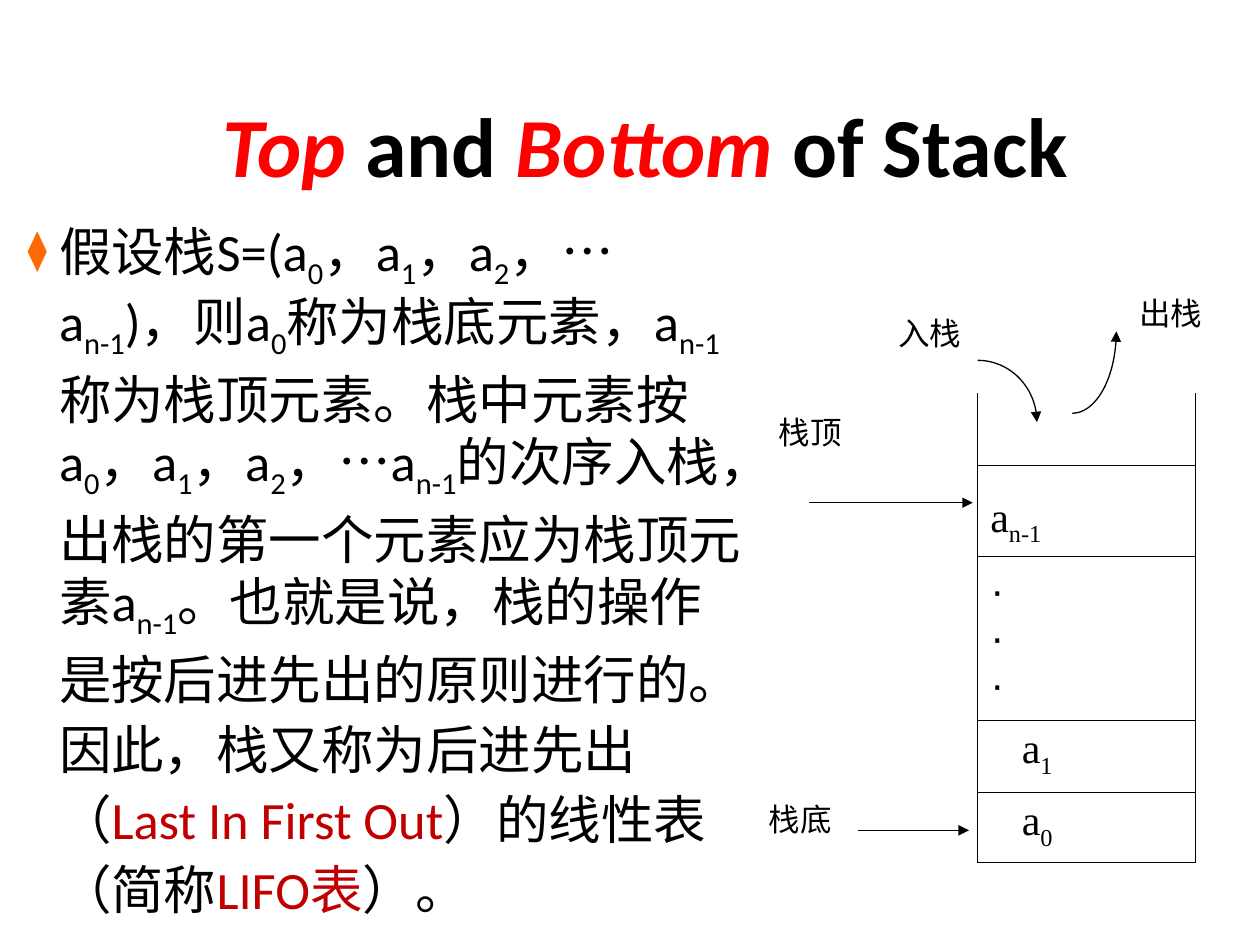
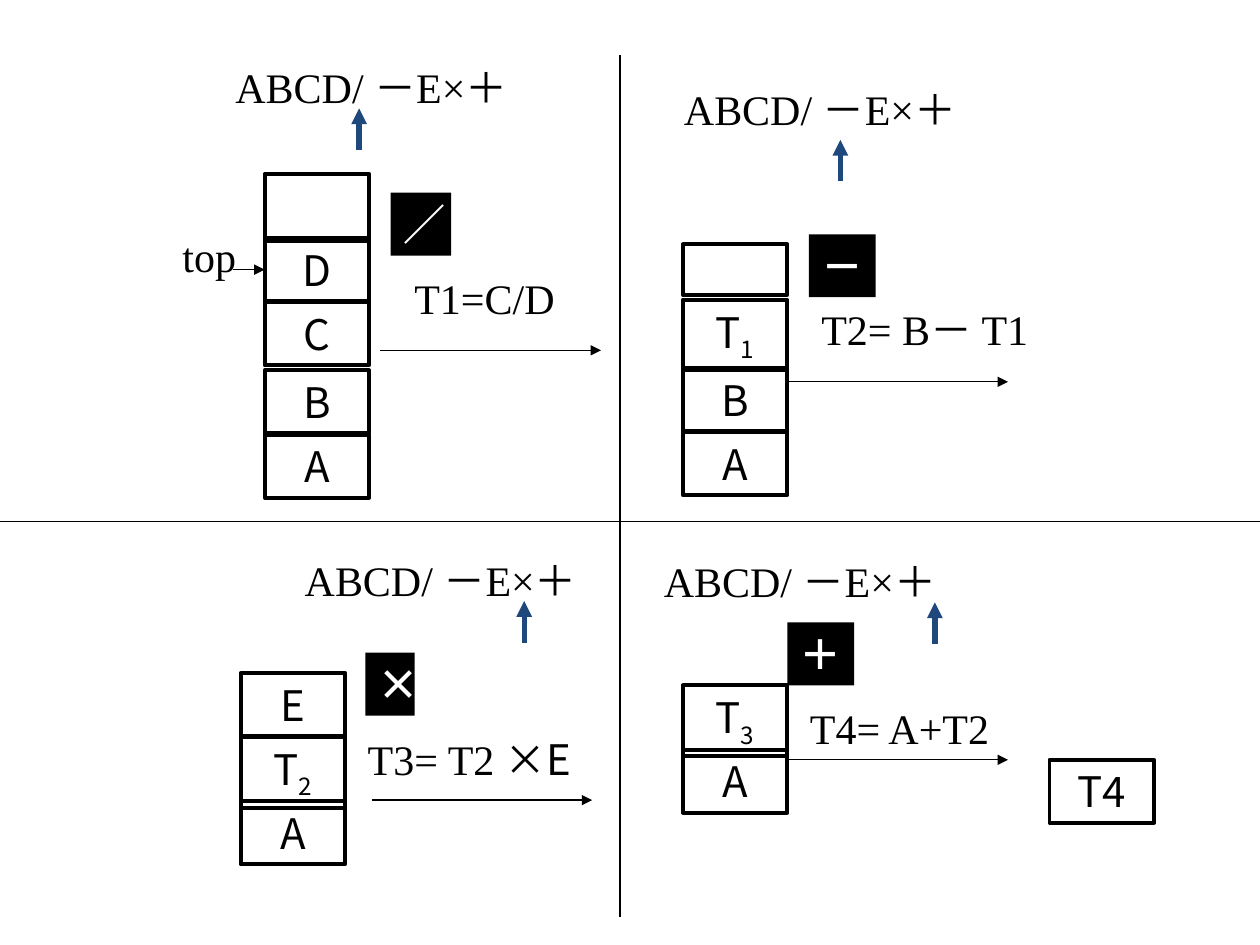
import math
import pptx
import pptx.util
import pptx.dml.color
import pptx.enum.shapes
import pptx.enum.text
import pptx.oxml.ns
from lxml import etree

INCH = pptx.util.Inches
POINT = pptx.util.Pt
BLACK, WHITE, RED, CRIMSON = "000000", "FFFFFF", "FF0000", "C00000"
ORANGE, NAVY = "FF6903", "1F497D"
CALIBRI, ARIAL, TIMES, CJK = "Calibri", "Arial", "Times New Roman", "Noto Sans CJK JP"
LEFT, CENTER = pptx.enum.text.PP_ALIGN.LEFT, pptx.enum.text.PP_ALIGN.CENTER
TOP, MIDDLE = pptx.enum.text.MSO_ANCHOR.TOP, pptx.enum.text.MSO_ANCHOR.MIDDLE
RECTANGLE = pptx.enum.shapes.MSO_SHAPE.RECTANGLE
INSETS, NO_INSETS = (0.1, 0.05, 0.1, 0.05), (0, 0, 0, 0)

# "~" in a text switches subscript on and off
HEADING = [
    ("Top", {"color": RED, "italic": True}),
    (" and ", {}),
    ("Bottom", {"color": RED, "italic": True}),
    (" of Stack", {}),
]
DEFINITION = [
    ("假设栈S=(a~0~，a~1~，a~2~，…a~n-1~)，则a~0~称为栈底元素，a~n-1~称为栈顶元素。"
     "栈中元素按a~0~，a~1~，a~2~，…a~n-1~的次序入栈，出栈的第一个元素应为栈顶元素a~n-1~。"
     "也就是说，栈的操作是按后进先出的原则进行的。因此，栈又称为后进先出（", {}),
    ("Last In First Out", {"color": CRIMSON}),
    ("）的线性表（简称", {}),
    ("LIFO表", {"color": CRIMSON}),
    ("）。", {}),
]
STACK_LABELS = [
    ("入栈", 7.13, 2.49),
    ("出栈", 9.04, 2.33),
    ("栈底", 6.1, 6.35),
    ("栈顶", 6.18, 3.28),
]
STACK_POINTERS = [(6.81, 6.59, 7.69), (6.42, 3.99, 7.72)]
STACK_CURVES = [(7.76, 2.86, 0.47, 0.49), (8.51, 3.28, 0.35, -0.65)]
STACK_ROWS = [
    ([], 0.57, ARIAL, TOP, INSETS),
    (["a~n-1~"], 0.72, TIMES, MIDDLE, (0.1, 0.22, 0.1, 0.05)),
    (["·"] * 3, 1.3, ARIAL, MIDDLE, INSETS),
    (["a~1~"], 0.57, TIMES, TOP, (0.35, 0.05, 0.1, 0.05)),
    (["a~0~"], 0.56, TIMES, TOP, (0.35, 0.05, 0.1, 0.05)),
]

EXPRESSION = "ABCD/ －E×＋"
CELL_WIDTH, CELL_HEIGHT = 0.83, 0.5
PANELS = [
    {"expression": (1.77, 0.44), "pointer": (2.85, 0.86), "stack": 2.1,
     "cells": [("", 1.38, 0.53), ("D", 1.89, 0.5), ("C", 2.4, 0.5), ("B", 2.94, 0.5), ("A", 3.45, 0.5)],
     "operator": ("／", 3.1, 1.53, 0.48, CJK),
     "step": ([("T1=C/D", {})], 3.19, 2.11, 1.33), "arrow": (3.02, 2.78)},
    {"expression": (5.33, 0.61), "pointer": (6.67, 1.11), "stack": 5.42,
     "cells": [("", 1.94, 0.4), ("T~1~", 2.38, 0.56), ("B", 2.92, 0.5), ("A", 3.43, 0.5)],
     "operator": ("－", 6.42, 1.86, 0.53, TIMES),
     "step": ([("T2= B－ T1", {})], 6.42, 2.36, 2.42), "arrow": (6.25, 3.03)},
    {"expression": (2.32, 4.35), "pointer": (4.16, 4.77), "stack": 1.91,
     "cells": [("E", 5.34, 0.5), ("T~2~", 5.85, 0.56), ("A", 6.36, 0.5)],
     "operator": ("×", 2.9, 5.18, 0.39, CJK),
     "step": ([("T3= T2 ", {}), ("×E", {"name": CJK})], 2.82, 5.77, 1.92), "arrow": (2.95, 6.35)},
    {"expression": (5.17, 4.36), "pointer": (7.42, 4.78), "stack": 5.42,
     "cells": [("T~3~", 5.44, 0.56), ("A", 5.95, 0.5)],
     "operator": ("＋", 6.25, 4.94, 0.53, CJK),
     "step": ([("T4= A+T2", {})], 6.33, 5.53, 1.92), "arrow": (6.25, 6.03)},
]
RESULT = ("T4", 8.33, 6.03)
TOP_POINTER = ("top", 1.35, 1.78, 0.67)
DIVIDERS = [((0, 4.14), (10, 4.14)), ((4.92, 0.44), (4.92, 7.28))]


def rgb(code):
    return pptx.dml.color.RGBColor.from_string(code)


def child(parent, tag, **attributes):
    return etree.SubElement(parent, pptx.oxml.ns.qn(tag), attributes)


def style_run(run, size, name, color=BLACK, bold=False, italic=False, subscript=False):
    run.font.size = POINT(size)
    run.font.name = name
    run.font.bold = bold
    run.font.italic = italic
    run.font.color.rgb = rgb(color)
    properties = run._r.get_or_add_rPr()
    child(properties, "a:ea", typeface=CJK)
    if subscript:
        properties.set("baseline", "-25000")


def write(paragraph, parts, **style):
    for text, changes in parts:
        for index, piece in enumerate(text.split("~")):
            if piece:
                run = paragraph.add_run()
                run.text = piece
                style_run(run, **{**style, **changes, "subscript": index % 2 == 1})


def set_frame(frame, insets, anchor=TOP, wrap=True):
    frame.word_wrap = wrap
    frame.vertical_anchor = anchor
    frame.margin_left, frame.margin_top, frame.margin_right, frame.margin_bottom = map(INCH, insets)


def add_text(slide, parts, left, top, width, height, insets=INSETS, anchor=TOP, align=LEFT, **style):
    frame = slide.shapes.add_textbox(*map(INCH, (left, top, width, height))).text_frame
    set_frame(frame, insets, anchor)
    frame.paragraphs[0].alignment = align
    write(frame.paragraphs[0], parts, **style)
    return frame.paragraphs[0]


def add_box(slide, text, left, top, width, height, fill=None, align=CENTER, wrap=True, **style):
    box = slide.shapes.add_shape(RECTANGLE, *map(INCH, (left, top, width, height)))
    box.shadow.inherit = False
    if fill:
        box.fill.solid()
        box.fill.fore_color.rgb = rgb(fill)
        box.line.fill.background()
    else:
        box.fill.background()
        box.line.color.rgb = rgb(BLACK)
        box.line.width = POINT(2.25)
    set_frame(box.text_frame, INSETS, wrap=wrap)
    box.text_frame.paragraphs[0].alignment = align
    write(box.text_frame.paragraphs[0], [(text, {})], size=24, **style)
    return box


def style_line(line, color=BLACK, width=0.75, arrow=True):
    line.color.rgb = rgb(color)
    line.width = POINT(width)
    if arrow:
        child(line._get_or_add_ln(), "a:tailEnd", type="triangle")


def add_line(slide, start, end, **style):
    line = slide.shapes.add_connector(
        pptx.enum.shapes.MSO_CONNECTOR.STRAIGHT, *map(INCH, (*start, *end)))
    style_line(line.line, **style)
    child(line._element.spPr, "a:effectLst")
    return line


def add_curve(slide, left, start, across, down, steps=24):
    angles = [math.pi / 2 * step / steps for step in range(steps + 1)]
    points = [(INCH(left + across * math.sin(angle)), INCH(start + down * (1 - math.cos(angle))))
              for angle in angles]
    builder = slide.shapes.build_freeform(*points[0])
    builder.add_line_segments(points[1:], close=False)
    curve = builder.convert_to_shape()
    curve.shadow.inherit = False
    curve.fill.background()
    style_line(curve.line)


def add_borders(cell, sides):
    properties = cell._tc.get_or_add_tcPr()
    for index, side in enumerate("LRTB"):
        border = child(properties, f"a:ln{side}", w=str(POINT(0.45)))
        if side in sides:
            child(child(border, "a:solidFill"), "a:srgbClr", val=BLACK)
        else:
            child(border, "a:noFill")
        properties.insert(index, border)


def add_stack_table(slide):
    height = sum(row[1] for row in STACK_ROWS)
    table = slide.shapes.add_table(
        len(STACK_ROWS), 1, *map(INCH, (7.76, 3.12, 1.73, height))).table
    table.first_row = table.horz_banding = False
    for index, (lines, height, name, anchor, insets) in enumerate(STACK_ROWS):
        table.rows[index].height = INCH(height)
        cell = table.cell(index, 0)
        cell.fill.background()
        cell.vertical_anchor = anchor
        cell.margin_left, cell.margin_top, cell.margin_right, cell.margin_bottom = map(INCH, insets)
        for number, line in enumerate(lines):
            frame = cell.text_frame
            paragraph = frame.add_paragraph() if number else frame.paragraphs[0]
            write(paragraph, [(line, {})], size=24, name=name)
        add_borders(cell, "LRTB" if index else "LRB")


def build_definition(slide):
    add_text(slide, HEADING, 0.12, 0.6, 10, 1.08, anchor=MIDDLE, align=CENTER,
             size=48, name=CALIBRI, bold=True)
    definition = add_text(slide, DEFINITION, 0.12, 1.7, 5.91, 5.67, size=30, name=CALIBRI)
    properties = definition._p.get_or_add_pPr()
    properties.set("marL", str(INCH(0.25)))
    properties.set("indent", str(INCH(-0.25)))
    child(child(properties, "a:buClr"), "a:srgbClr", val=ORANGE)
    child(properties, "a:buSzPct", val="75000")
    child(properties, "a:buChar", char="⧫")
    definition.line_spacing = POINT(40)
    for curve in STACK_CURVES:
        add_curve(slide, *curve)
    for label, left, top in STACK_LABELS:
        add_text(slide, [(label, {})], left, top, 0.96, 0.5, insets=NO_INSETS, size=18, name=ARIAL)
    for start, level, end in STACK_POINTERS:
        add_line(slide, (start, level), (end, level))
    add_stack_table(slide)


def build_panel(slide, panel):
    cells = {label: add_box(slide, label, panel["stack"], top, CELL_WIDTH, height, name=CJK)
             for label, top, height in panel["cells"]}
    add_text(slide, [(EXPRESSION, {})], *panel["expression"], 2.67, 0.5, size=24, name=TIMES)
    x, tip = panel["pointer"]
    add_line(slide, (x, tip + 0.33), (x, tip), color=NAVY, width=3)
    symbol, left, top, width, name = panel["operator"]
    add_box(slide, symbol, left, top, width, CELL_HEIGHT, fill=BLACK, align=LEFT, wrap=False,
            name=name, color=WHITE, bold=True)
    step, left, top, width = panel["step"]
    add_text(slide, step, left, top, width, 0.5, size=24, name=TIMES)
    start, level = panel["arrow"]
    add_line(slide, (start, level), (start + 1.75, level))
    return cells


def build_evaluation(slide):
    for start, end in DIVIDERS:
        add_line(slide, start, end, arrow=False)
    first_cells, *_ = [build_panel(slide, panel) for panel in PANELS]
    label, left, top, width = TOP_POINTER
    add_text(slide, [(label, {})], left, top, width, 0.5, size=24, name=TIMES)
    pointer = add_line(slide, (1.85, 2.14), (2.1, 2.14))
    pointer.end_connect(first_cells["D"], 1)
    add_box(slide, *RESULT, CELL_WIDTH, CELL_HEIGHT, name=CJK)


def main():
    deck = pptx.Presentation()
    deck.slide_width, deck.slide_height = INCH(10), INCH(7.5)
    for build in (build_definition, build_evaluation):
        build(deck.slides.add_slide(deck.slide_layouts[6]))
    deck.save("out.pptx")


if __name__ == "__main__":
    main()
